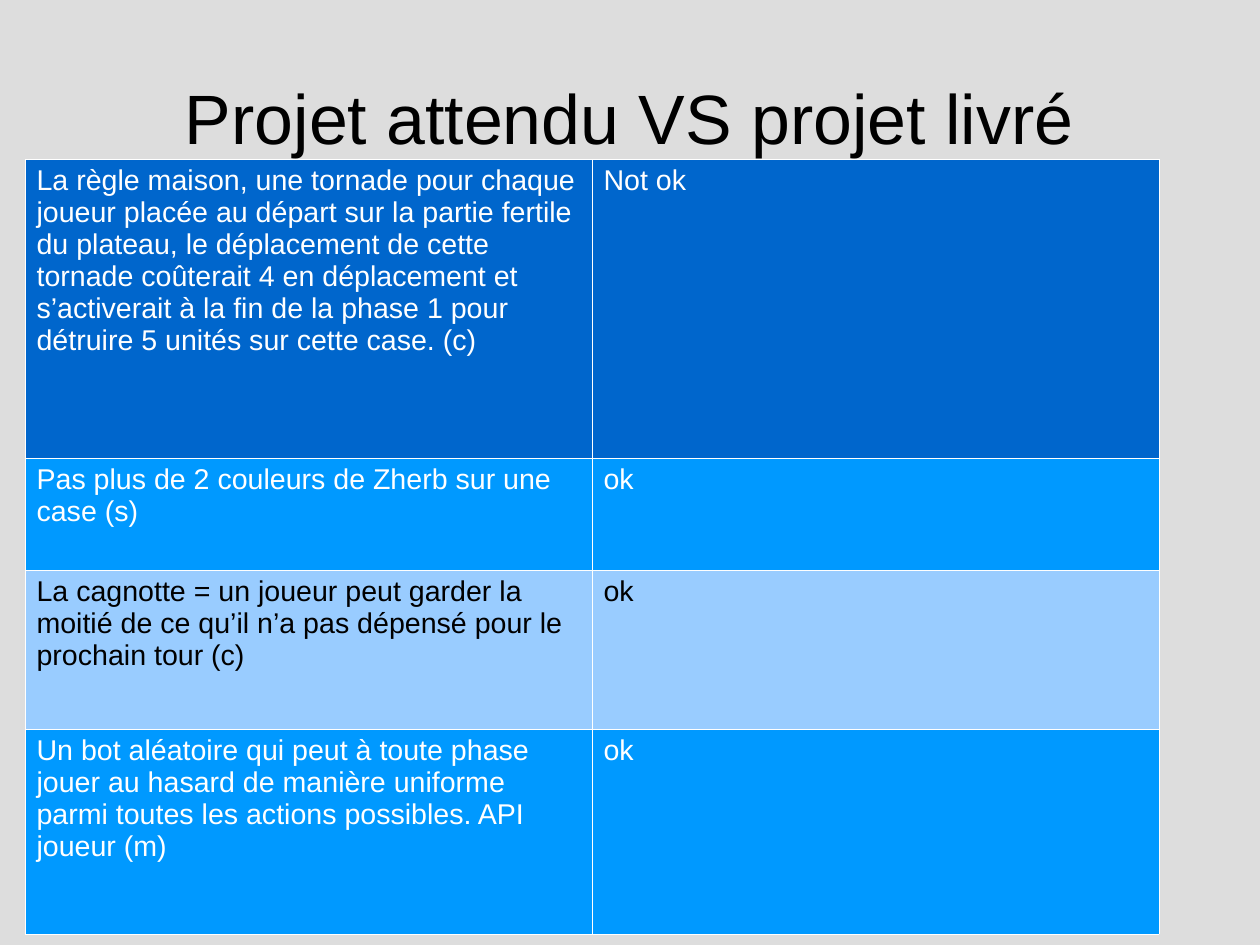
from dataclasses import dataclass

from lxml import etree
from pptx import Presentation
from pptx import util as u
from pptx.dml import color
from pptx.enum import text
from pptx.oxml import ns


@dataclass(frozen=True)
class Theme:
    """Colours, font and type sizes of the deck."""
    font: str = "Arial"
    title_size: float = 44
    cell_size: float = 18
    border_width: float = 0.06
    background: str = "DDDDDD"
    dark: str = "000000"
    light: str = "FFFFFF"
    header: str = "0066CC"
    band: str = "0099FF"
    pale_band: str = "99CCFF"


THEME = Theme()
PAGE_SIZE = (793.7, 595.28)
TITLE_BOX = (39.68, 23.75, 714.33, 99.38)
TABLE_BOX = (15.84, 100.08, 714.33, 488.5)
ROW_HEIGHTS = (188.3, 70.5, 100.1, 129.6)
ROW_STYLES = (
    (THEME.header, THEME.light),
    (THEME.band, THEME.light),
    (THEME.pale_band, THEME.dark),
    (THEME.band, THEME.light),
)
REQUIREMENTS = (
    ("La règle maison, une tornade pour chaque joueur placée au départ sur la "
     "partie fertile du plateau, le déplacement de cette tornade coûterait 4 en "
     "déplacement et s’activerait à la fin de la phase 1 pour détruire 5 unités "
     "sur cette case. (c)", "Not ok"),
    ("Pas plus de 2 couleurs de Zherb sur une case (s)", "ok"),
    ("La cagnotte = un joueur peut garder la moitié de ce qu’il n’a pas dépensé "
     "pour le prochain tour (c)", "ok"),
    ("Un bot aléatoire qui peut à toute phase jouer au hasard de manière uniforme "
     "parmi toutes les actions possibles. API joueur (m)", "ok"),
)


def paint(fill, colour):
    """Make a fill solid in the given colour."""
    fill.solid()
    fill.fore_color.rgb = color.RGBColor.from_string(colour)


def add_span(para, wording, size, colour):
    """Add one formatted run to a paragraph."""
    span = para.add_run()
    span.text = wording
    span.font.name = THEME.font
    span.font.size = u.Pt(size)
    span.font.color.rgb = color.RGBColor.from_string(colour)


def add_title(page, box, wording):
    """Place the centred title in its box."""
    frame = page.shapes.add_textbox(*map(u.Pt, box)).text_frame
    frame.word_wrap = True
    frame.vertical_anchor = text.MSO_ANCHOR.MIDDLE
    frame.margin_left = frame.margin_right = frame.margin_top = frame.margin_bottom = 0
    para = frame.paragraphs[0]
    para.alignment = text.PP_ALIGN.CENTER
    add_span(para, wording, THEME.title_size, THEME.dark)


def add_borders(cell):
    """Draw a thin light line on all four sides of a cell."""
    properties = cell._tc.get_or_add_tcPr()
    for side in ("lnL", "lnR", "lnT", "lnB"):
        width = str(int(u.Pt(THEME.border_width)))
        line = etree.SubElement(properties, ns.qn(f"a:{side}"), w=width)
        fill = etree.SubElement(line, ns.qn("a:solidFill"))
        etree.SubElement(fill, ns.qn("a:srgbClr"), val=THEME.light)


def fill_cell(cell, wording, fill, colour):
    """Give a cell its borders, background and wording."""
    add_borders(cell)
    paint(cell.fill, fill)
    cell.margin_left = cell.margin_right = u.Pt(7.2)
    cell.margin_top = cell.margin_bottom = u.Pt(3.6)
    add_span(cell.text_frame.paragraphs[0], wording, THEME.cell_size, colour)


def add_requirements(page, box, requirements):
    """Place the table of requirements and their outcomes in its box."""
    columns = len(requirements[0])
    table = page.shapes.add_table(len(requirements), columns, *map(u.Pt, box)).table
    for column in table.columns:
        column.width = u.Pt(box[2] / columns)
    rows = zip(table.rows, ROW_HEIGHTS, ROW_STYLES, requirements)
    for row, height, style, wordings in rows:
        row.height = u.Pt(height)
        for cell, wording in zip(row.cells, wordings):
            fill_cell(cell, wording, *style)


def main():
    """Build and save the deck."""
    deck = Presentation()
    deck.slide_width, deck.slide_height = map(u.Pt, PAGE_SIZE)
    page = deck.slides.add_slide(deck.slide_layouts[6])
    paint(page.background.fill, THEME.background)
    add_title(page, TITLE_BOX, "Projet attendu VS projet livré")
    add_requirements(page, TABLE_BOX, REQUIREMENTS)
    deck.save("out.pptx")


if __name__ == "__main__":
    main()
